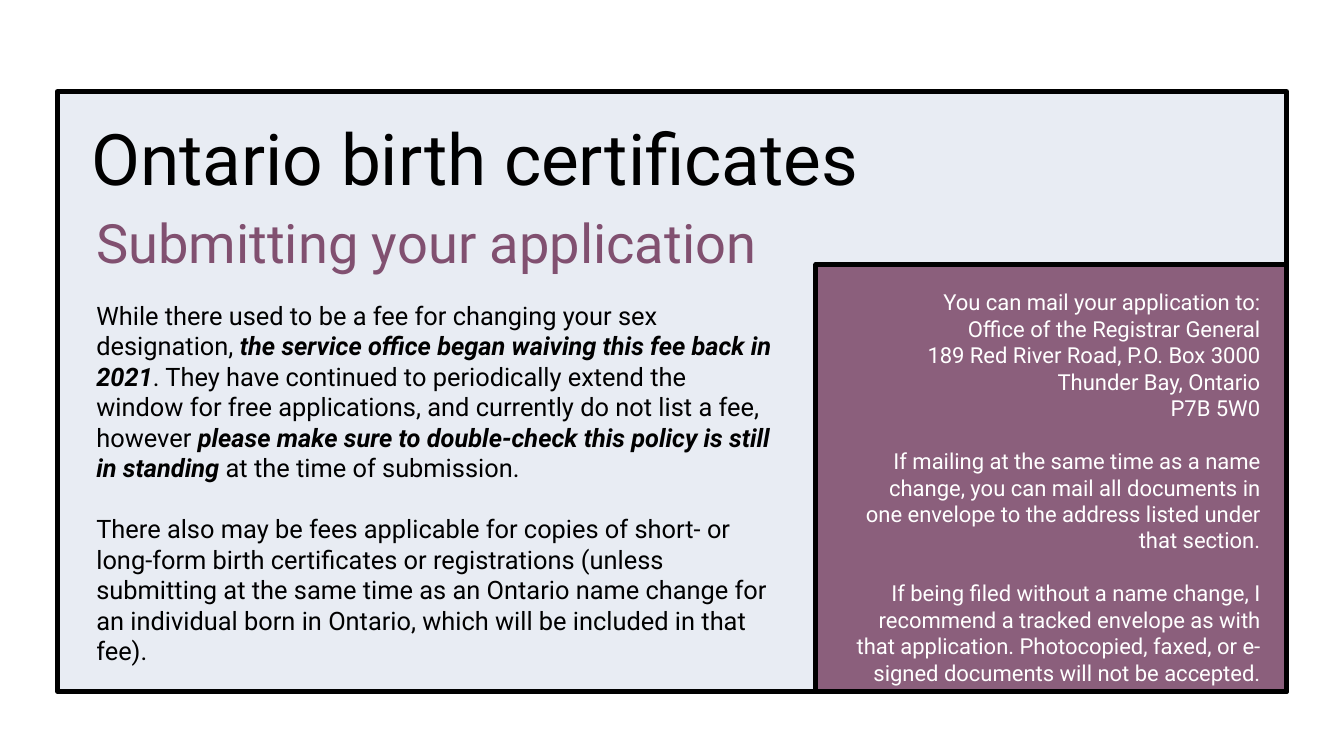
import dataclasses

import pptx
import pptx.dml.color
import pptx.enum.shapes
import pptx.enum.text
import pptx.oxml.ns
import pptx.util
from lxml import etree
from pptx.util import Inches

ANCHOR = pptx.enum.text.MSO_ANCHOR
ALIGN = pptx.enum.text.PP_ALIGN


@dataclasses.dataclass(frozen=True)
class Theme:
    """Colours, font and type sizes of the slide."""
    font: str = "Roboto"
    ink: str = "000000"
    plum: str = "815070"
    mist: str = "E6EBF2"
    white: str = "FFFFFF"
    title: int = 42
    subtitle: int = 32
    body: int = 15
    aside: int = 13
    border: float = 2.83
    opacity: int = 90
    line_height: float = 1.2


THEME = Theme()

FEES = [
    [
        ("While there used to be a fee for changing your sex designation, ", False),
        ("the service office began waiving this fee back in 2021", True),
        (". They have continued to periodically extend the window for free applications, "
         "and currently do not list a fee, however ", False),
        ("please make sure to double-check this policy is still in standing", True),
        (" at the time of submission.", False),
    ],
    [
        ("There also may be fees applicable for copies of short- or long-form birth "
         "certificates or registrations (unless submitting at the same time as an Ontario "
         "name change for an individual born in Ontario, which will be included in that "
         "fee).", False),
    ],
]

MAILING = [
    ["You can mail your application to:",
     "Office of the Registrar General",
     "189 Red River Road, P.O. Box 3000",
     "Thunder Bay, Ontario",
     "P7B 5W0"],
    ["If mailing at the same time as a name change, you can mail all documents in one "
     "envelope to the address listed under that section."],
    ["If being filed without a name change, I recommend a tracked envelope as with that "
     "application. Photocopied, faxed, or e-signed documents will not be accepted."],
]


def rgb(value):
    """Turn a hex string into a colour."""
    return pptx.dml.color.RGBColor.from_string(value)


def add_panel(s, x, y, w, h, color):
    """Draw a bordered, slightly transparent rectangle."""
    sp = s.shapes.add_shape(pptx.enum.shapes.MSO_SHAPE.RECTANGLE,
                            Inches(x), Inches(y), Inches(w), Inches(h))
    sp.shadow.inherit = False
    sp.fill.solid()
    sp.fill.fore_color.rgb = rgb(color)
    clr = sp.fill._xPr.find(".//" + pptx.oxml.ns.qn("a:srgbClr"))
    etree.SubElement(clr, pptx.oxml.ns.qn("a:alpha"), val=str(THEME.opacity * 1000))
    sp.line.color.rgb = rgb(THEME.ink)
    sp.line.width = pptx.util.Pt(THEME.border)


def add_text(s, x, y, w, h, blocks, size, color, align=ALIGN.LEFT,
             anchor=ANCHOR.TOP, insets=(0, 0)):
    """Write blocks of paragraphs, one line apart, each paragraph a list of runs."""
    tf = s.shapes.add_textbox(Inches(x), Inches(y), Inches(w), Inches(h)).text_frame
    tf.word_wrap = True
    tf.vertical_anchor = anchor
    tf.margin_left = tf.margin_right = Inches(insets[0])
    tf.margin_top = tf.margin_bottom = Inches(insets[1])
    p = None
    for block_no, block in enumerate(blocks):
        for line_no, runs in enumerate(block):
            p = tf.add_paragraph() if p is not None else tf.paragraphs[0]
            p.alignment = align
            p.font.name = THEME.font
            p.font.size = pptx.util.Pt(size)
            p.font.color.rgb = rgb(color)
            if block_no and not line_no:
                p.space_before = pptx.util.Pt(size * THEME.line_height)
            for text, strong in runs:
                r = p.add_run()
                r.text = text
                if strong:
                    r.font.bold = r.font.italic = True


def add_main(s, x, y, w, h):
    """Place the pale panel with title, subtitle and notes on fees."""
    add_panel(s, x, y, w, h, THEME.mist)
    add_text(s, x + 0.28, y + 0.19, 7.4, 0.7, [[[("Ontario birth certificates", False)]]],
             THEME.title, THEME.ink, anchor=ANCHOR.MIDDLE)
    add_text(s, x + 0.32, y + 0.93, 6.54, 0.6, [[[("Submitting your application", False)]]],
             THEME.subtitle, THEME.plum, anchor=ANCHOR.MIDDLE)
    add_text(s, x + 0.32, y + 1.71, 5.55, 2.6, [[runs] for runs in FEES],
             THEME.body, THEME.ink)


def add_mailing(s, x, y, w, h):
    """Place the plum panel with the mailing address and advice."""
    add_panel(s, x, y, w, h, THEME.plum)
    blocks = [[[(line, False)] for line in block] for block in MAILING]
    add_text(s, x + 0.2, y + 0.15, w - 0.32, h - 0.35, blocks,
             THEME.aside, THEME.white, align=ALIGN.RIGHT, insets=(0.1, 0.05))


def main():
    """Build and save the slide."""
    prs = pptx.Presentation()
    prs.slide_width, prs.slide_height = Inches(11.02), Inches(6.2)
    s = prs.slides.add_slide(prs.slide_layouts[6])
    add_main(s, 0.47, 0.75, 10.08, 4.92)
    add_mailing(s, 6.69, 2.17, 3.86, 3.5)
    prs.save("out.pptx")


if __name__ == "__main__":
    main()
